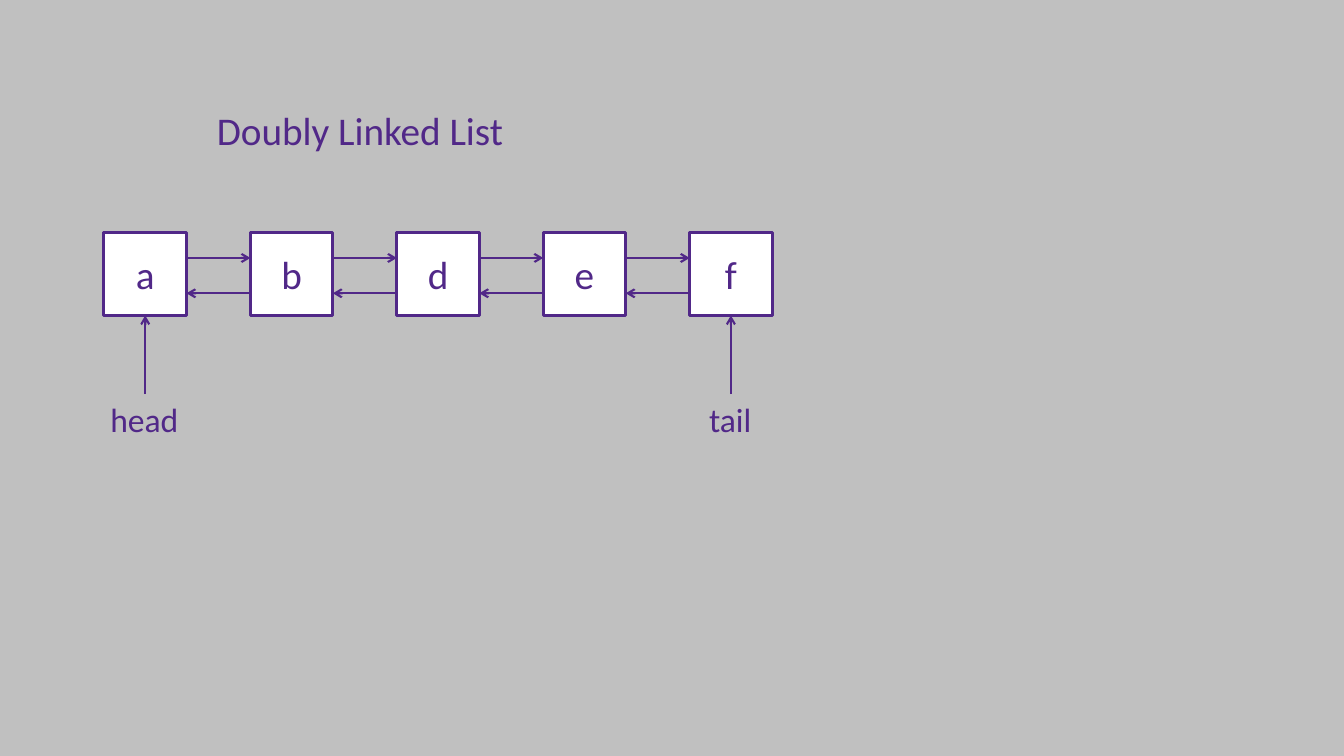
from lxml import etree
from pptx import Presentation
from pptx.dml.color import RGBColor
from pptx.enum import shapes, text
from pptx.oxml import ns
from pptx.util import Cm, Pt

COLOURS = {"background": "C0C0C0", "ink": "512888", "node": "FFFFFF"}
FONT = "Calibri"
NODES = ["a", "b", "d", "e", "f"]
NODE_LEFT, NODE_TOP, NODE_SIZE, NODE_PITCH = 2.62, 5.87, 2.08, 3.69
NEXT_Y, PREVIOUS_Y, LABEL_TOP = 6.5, 7.39, 9.93


def colour(name):
    return RGBColor.from_string(COLOURS[name])


def write(frame, words, size, align):
    frame.text = words
    paragraph = frame.paragraphs[0]
    paragraph.alignment = align
    font = paragraph.runs[0].font
    font.name, font.size = FONT, Pt(size)
    font.color.rgb = colour("ink")


def fit(frame):
    frame.word_wrap = False
    frame.auto_size = text.MSO_AUTO_SIZE.SHAPE_TO_FIT_TEXT
    frame.vertical_anchor = text.MSO_ANCHOR.TOP


def add_title(slide, words):
    title = slide.shapes.title
    title.left, title.top = Cm(5.21), Cm(2.54)
    title.width, title.height = Cm(8.18), Cm(1.45)
    write(title.text_frame, words, 28, text.PP_ALIGN.LEFT)
    title.text_frame.paragraphs[0].line_spacing = 1.0
    fit(title.text_frame)


def add_node(slide, left, value):
    node = slide.shapes.add_shape(
        shapes.MSO_SHAPE.RECTANGLE,
        Cm(left), Cm(NODE_TOP), Cm(NODE_SIZE), Cm(NODE_SIZE))
    node.shadow.inherit = False
    node.fill.solid()
    node.fill.fore_color.rgb = colour("node")
    node.line.color.rgb = colour("ink")
    node.line.width = Pt(2.25)
    node.text_frame.vertical_anchor = text.MSO_ANCHOR.MIDDLE
    write(node.text_frame, value, 28, text.PP_ALIGN.CENTER)


def add_arrow(slide, x1, y1, x2, y2):
    arrow = slide.shapes.add_connector(
        shapes.MSO_CONNECTOR.STRAIGHT, Cm(x1), Cm(y1), Cm(x2), Cm(y2))
    arrow.line.color.rgb = colour("ink")
    arrow.line.width = Pt(1.5)
    etree.SubElement(arrow.line._get_or_add_ln(), ns.qn("a:tailEnd"), type="arrow")
    etree.SubElement(arrow._element.spPr, ns.qn("a:effectLst"))


def add_pointer(slide, node_left, name, width):
    centre = node_left + NODE_SIZE / 2
    label = slide.shapes.add_textbox(
        Cm(centre - width / 2), Cm(LABEL_TOP), Cm(width), Cm(1.27))
    write(label.text_frame, name, 24, text.PP_ALIGN.LEFT)
    fit(label.text_frame)
    add_arrow(slide, centre, LABEL_TOP, centre, NODE_TOP + NODE_SIZE)


def main():
    deck = Presentation()
    deck.slide_width, deck.slide_height = Cm(33.87), Cm(19.05)
    slide = deck.slides.add_slide(deck.slide_layouts[5])
    slide.background.fill.solid()
    slide.background.fill.fore_color.rgb = colour("background")
    add_title(slide, "Doubly Linked List")

    lefts = [NODE_LEFT + NODE_PITCH * i for i in range(len(NODES))]
    for left, value in zip(lefts, NODES):
        add_node(slide, left, value)
    for left, next_left in zip(lefts, lefts[1:]):
        right = left + NODE_SIZE
        add_arrow(slide, right, NEXT_Y, next_left, NEXT_Y)
        add_arrow(slide, next_left, PREVIOUS_Y, right, PREVIOUS_Y)
    add_pointer(slide, lefts[0], "head", 2.26)
    add_pointer(slide, lefts[-1], "tail", 1.6)
    deck.save("out.pptx")


if __name__ == "__main__":
    main()
